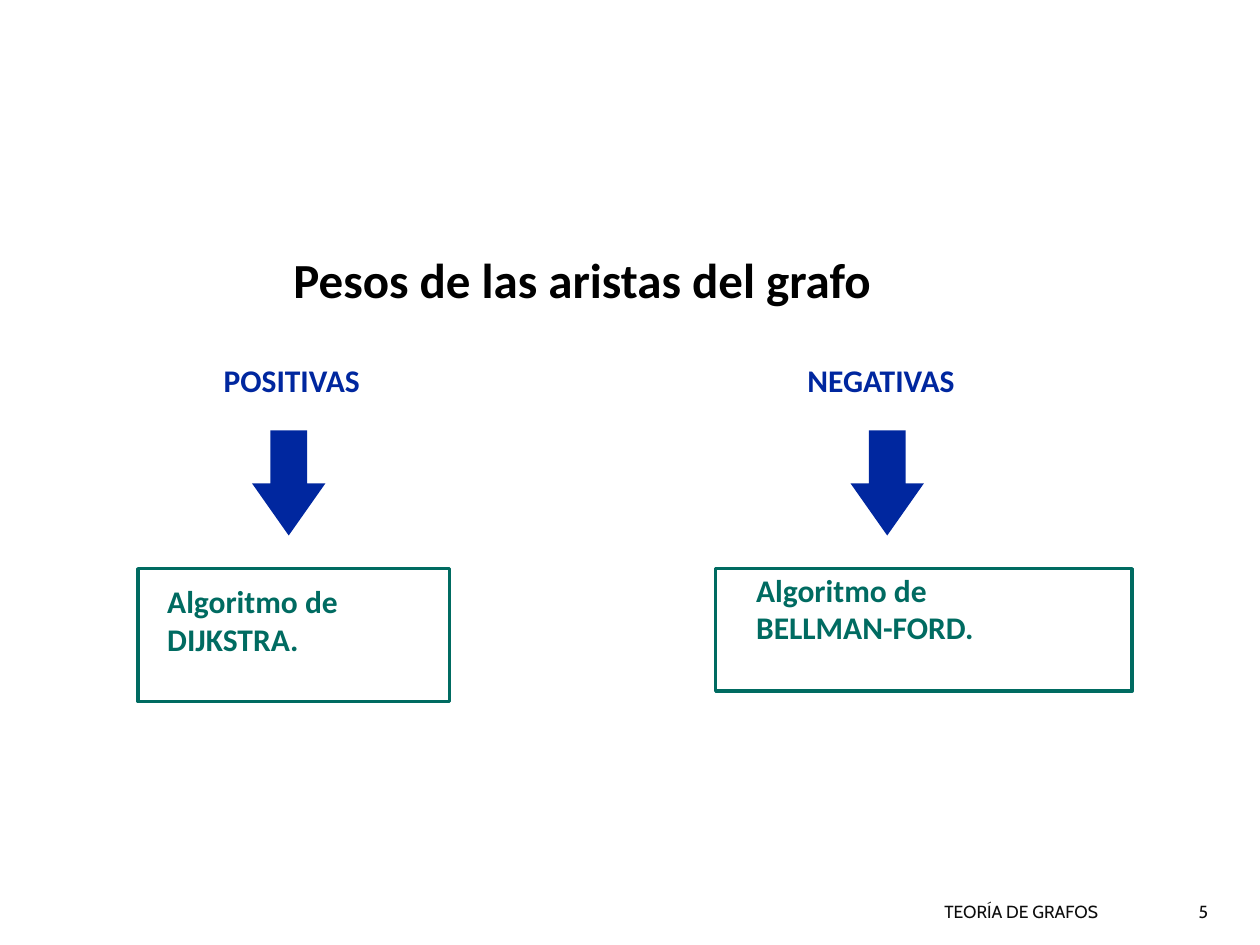
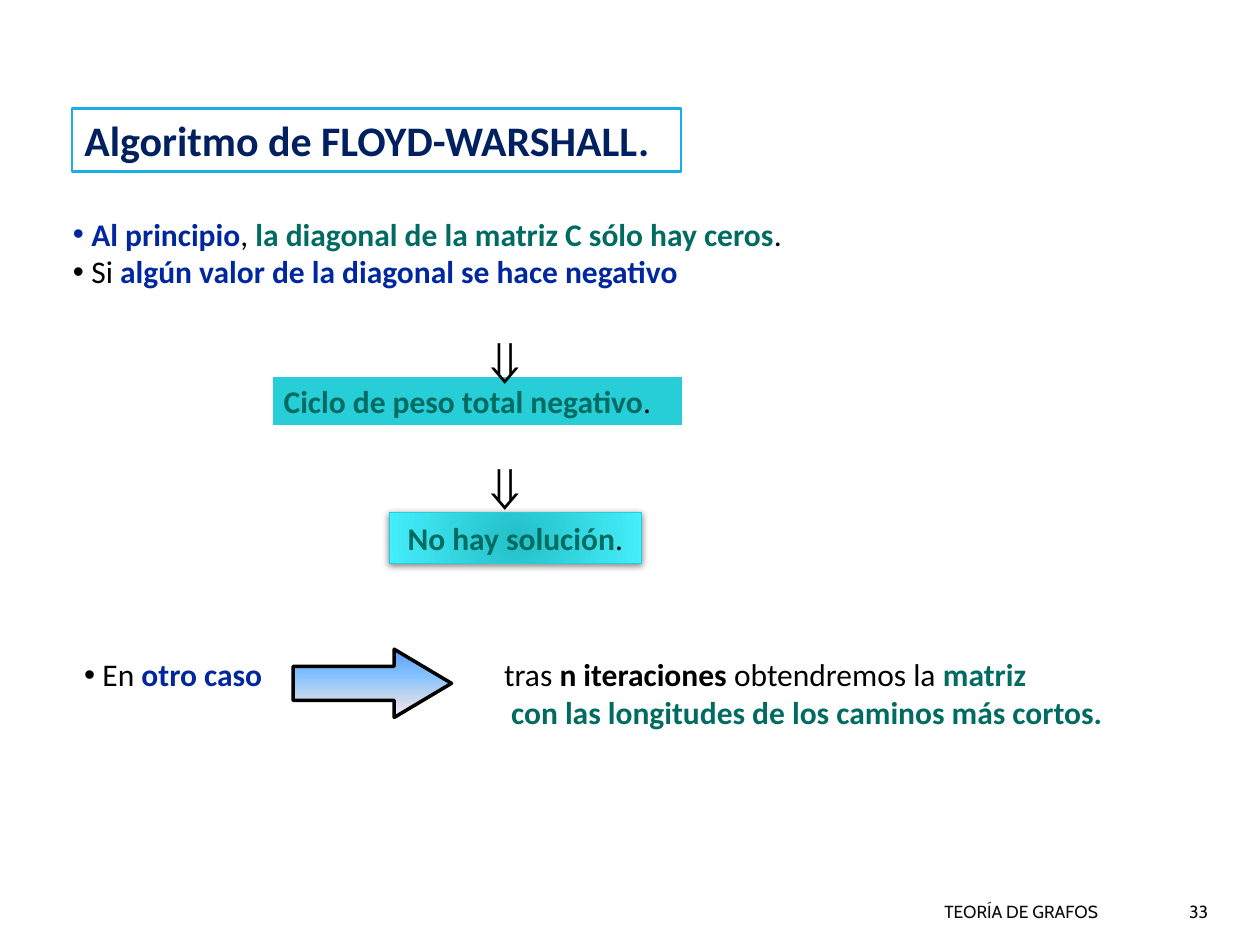
from dataclasses import dataclass
from typing import NamedTuple, Optional

from pptx import Presentation
from pptx.dml.color import RGBColor
from pptx.enum.shapes import MSO_SHAPE
from pptx.enum.text import MSO_ANCHOR, MSO_AUTO_SIZE, PP_ALIGN
from pptx.oxml import parse_xml
from pptx.oxml.ns import nsdecls, qn
from pptx.util import Pt


# Theme: every colour, font and type size
@dataclass(frozen=True)
class Theme:
    black: str = "000000"
    white: str = "FFFFFF"
    blue: str = "00279F"
    green: str = "006B61"
    navy: str = "002060"
    sky: str = "1CADE4"
    cyan: str = "27CED7"
    footer_ink: str = "0D0D0D"
    glow: tuple = ((0, "24C0C8"), (100, "44EEFA"))
    dawn: tuple = ((0, "5E9EFF"), (40, "85C2FF"), (70, "C4D6EB"), (100, "FFEBFA"))
    font: str = "Calibri"
    symbol_font: str = "Arial"
    footer_font: str = "Cabin"
    question: int = 28
    heading: int = 24
    text: int = 18
    symbol: int = 36
    footer: int = 10


THEME = Theme()


class Area(NamedTuple):
    left: float
    top: float
    width: float
    height: float

    def points(self) -> list:
        return [Pt(value) for value in self]


class Span(NamedTuple):
    text: str
    color: str = THEME.black
    bold: bool = False
    size: int = THEME.text
    font: str = THEME.font


class Para(NamedTuple):
    spans: list
    align: PP_ALIGN = PP_ALIGN.LEFT
    bullet: bool = False
    indent: float = 0


class Case(NamedTuple):
    sign: str
    sign_area: Area
    arrow_left: float
    algorithm: str
    text_area: Area
    frame_area: Area


def strong(text: str, color: str, size: int = THEME.text) -> Span:
    return Span(text, color, True, size)


# Text
def write(box, paras: list, anchor: MSO_ANCHOR = MSO_ANCHOR.TOP) -> None:
    frame = box.text_frame
    frame.word_wrap = True
    frame.auto_size = MSO_AUTO_SIZE.NONE
    frame.vertical_anchor = anchor
    for index, content in enumerate(paras):
        para = frame.paragraphs[0] if index == 0 else frame.add_paragraph()
        para.alignment = content.align
        para.space_before = Pt(0)
        for part in content.spans:
            span = para.add_run()
            span.text = part.text
            span.font.name = part.font
            span.font.size = Pt(part.size)
            span.font.bold = part.bold
            span.font.color.rgb = RGBColor.from_string(part.color)
        properties = para._p.get_or_add_pPr()
        if content.bullet:
            properties.set("marL", str(Pt(10.5)))
            properties.set("indent", str(Pt(-10.5)))
            properties.append(parse_xml(
                f'<a:buFont {nsdecls("a")} typeface="{THEME.symbol_font}"/>'))
            properties.append(parse_xml(f'<a:buChar {nsdecls("a")} char="•"/>'))
        elif content.indent:
            properties.set("marL", str(Pt(content.indent)))


def add_text(page, area: Area, paras: list, anchor: MSO_ANCHOR = MSO_ANCHOR.TOP) -> None:
    write(page.shapes.add_textbox(*area.points()), paras, anchor)


def fill_placeholder(box, area: Area, paras: list) -> None:
    box.left, box.top, box.width, box.height = area.points()
    write(box, paras)


# Shapes
def paint(box, fill: Optional[str], line: Optional[str], line_width: float = 1) -> None:
    if fill:
        box.fill.solid()
        box.fill.fore_color.rgb = RGBColor.from_string(fill)
    else:
        box.fill.background()
    if line:
        box.line.color.rgb = RGBColor.from_string(line)
        box.line.width = Pt(line_width)
    else:
        box.line.fill.background()


def add_box(page, kind: MSO_SHAPE, area: Area, fill: Optional[str] = None,
            line: Optional[str] = None, line_width: float = 1):
    box = page.shapes.add_shape(kind, *area.points())
    box.shadow.inherit = False
    paint(box, fill, line, line_width)
    return box


def set_gradient(box, stops: tuple, direction: str) -> None:
    stop_xml = "".join(
        f'<a:gs pos="{place * 1000}"><a:srgbClr val="{color}"/></a:gs>'
        for place, color in stops)
    box.fill.background()
    plain = box._element.spPr.find(qn("a:noFill"))
    plain.getparent().replace(plain, parse_xml(
        f'<a:gradFill {nsdecls("a")} rotWithShape="1"><a:gsLst>{stop_xml}</a:gsLst>'
        f'{direction}</a:gradFill>'))


def add_soft_shadow(box) -> None:
    effects = box._element.spPr.find(qn("a:effectLst"))
    effects.append(parse_xml(
        f'<a:outerShdw {nsdecls("a")} blurRad="{Pt(4)}" dist="{Pt(1)}" dir="5400000" '
        'rotWithShape="0"><a:srgbClr val="000000"><a:alpha val="50000"/></a:srgbClr>'
        '</a:outerShdw>'))


def add_footer(page, number: str) -> None:
    areas = (Area(286, 510, 348.5, 21.5), Area(640, 510, 57.5, 21.5))
    for text, area in zip(("TEORÍA DE GRAFOS", number), areas):
        span = Span(text, THEME.footer_ink, False, THEME.footer, THEME.footer_font)
        add_text(page, area, [Para([span], PP_ALIGN.RIGHT)], MSO_ANCHOR.MIDDLE)


# Slide: sign of the edge weights
def build_weights(deck) -> None:
    page = deck.slides.add_slide(deck.slide_layouts[5])
    fill_placeholder(page.shapes.title, Area(160.5, 139, 353.5, 40.5), [
        Para([strong("Pesos de las aristas del grafo", THEME.black, THEME.question)])])
    cases = (
        Case("POSITIVAS", Area(118.5, 203, 96.5, 29), 144, "DIJKSTRA.",
             Area(88.5, 329, 150, 65), Area(79, 325, 178, 76)),
        Case("NEGATIVAS", Area(451, 203, 105, 29), 486, "BELLMAN-FORD.",
             Area(425, 322.5, 217, 65), Area(409, 325, 238, 70)),
    )
    for case in cases:
        add_text(page, case.sign_area,
                 [Para([strong(case.sign, THEME.blue)], PP_ALIGN.CENTER)])
        arrow = add_box(page, MSO_SHAPE.DOWN_ARROW,
                        Area(case.arrow_left, 246, 42, 60), THEME.blue)
        arrow.adjustments[1] = 0.71
        add_text(page, case.text_area, [
            Para([strong(line, THEME.green)])
            for line in ("Algoritmo de", case.algorithm)])
        add_box(page, MSO_SHAPE.RECTANGLE, case.frame_area, None, THEME.green, 2)
    add_footer(page, "5")


# Slide: negative cycles in Floyd-Warshall
def build_floyd_warshall(deck) -> None:
    page = deck.slides.add_slide(deck.slide_layouts[1])
    title = page.shapes.title
    fill_placeholder(title, Area(41, 62, 348, 36), [
        Para([strong("Algoritmo de FLOYD-WARSHALL.", THEME.navy, THEME.heading)])])
    paint(title, THEME.white, THEME.sky, 1.25)

    fill_placeholder(page.placeholders[1], Area(34.5, 119, 585.5, 65), [
        Para([strong("Al principio", THEME.blue), Span(", "),
              strong("la diagonal de la matriz C sólo hay ceros", THEME.green),
              Span(".")], bullet=True),
        Para([Span("Si "),
              strong("algún valor de la diagonal se hace negativo", THEME.blue)],
             bullet=True)])

    # Chain of consequences
    cycle = add_box(page, MSO_SHAPE.RECTANGLE, Area(155, 214.5, 235.5, 29),
                    THEME.cyan, THEME.white, 1.5)
    write(cycle, [Para([strong("Ciclo de peso total negativo", THEME.green), Span(".")])])
    dead_end = add_box(page, MSO_SHAPE.RECTANGLE, Area(222.5, 293, 144, 29),
                       None, THEME.cyan, 0.75)
    set_gradient(dead_end, THEME.glow,
                 '<a:path path="circle"><a:fillToRect l="100000" t="100000" '
                 'r="100000" b="100000"/></a:path>')
    add_soft_shadow(dead_end)
    write(dead_end, [Para([strong("No hay solución", THEME.green), Span(".")],
                          PP_ALIGN.CENTER)])
    for top in (180, 252):
        symbol = Span("⇓", THEME.black, True, THEME.symbol, THEME.symbol_font)
        add_text(page, Area(268.5, top, 36, 50.5), [Para([symbol])])

    # Remaining case
    add_text(page, Area(41, 371, 125, 29), [
        Para([Span("En "), strong("otro caso", THEME.blue)], bullet=True)])
    arrow = add_box(page, MSO_SHAPE.RIGHT_ARROW, Area(167.5, 371, 90.5, 39),
                    None, THEME.black, 2)
    arrow.adjustments[1] = 0.84
    set_gradient(arrow, THEME.dawn, '<a:lin ang="5400000" scaled="0"/>')
    add_text(page, Area(281, 371, 396, 50.5), [
        Para([Span("tras "), strong("n iteraciones ", THEME.black),
              Span("obtendremos la "), strong("matriz", THEME.green)]),
        Para([strong("con las longitudes de los caminos más cortos.", THEME.green)],
             indent=4)])
    add_footer(page, "33")


def main() -> None:
    deck = Presentation()
    deck.slide_width, deck.slide_height = Pt(720), Pt(540)
    build_weights(deck)
    build_floyd_warshall(deck)
    deck.save("out.pptx")


if __name__ == "__main__":
    main()
